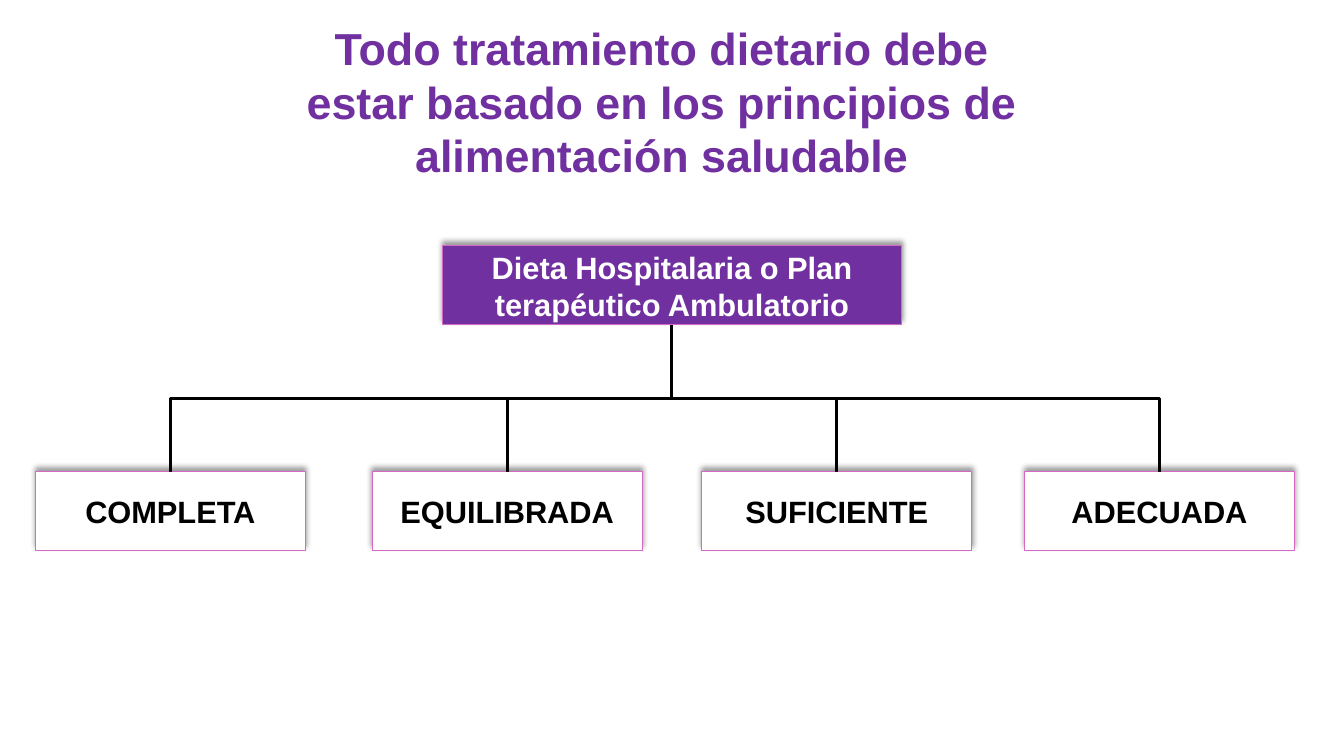
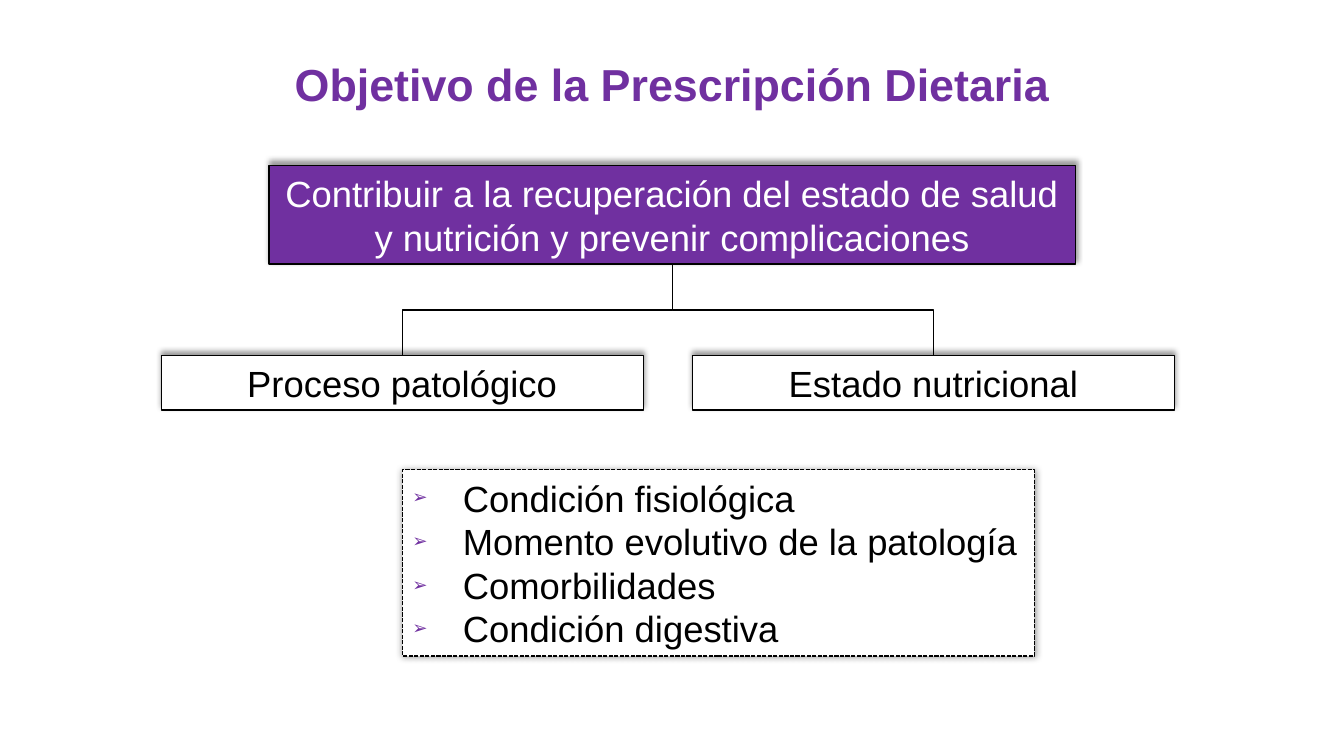
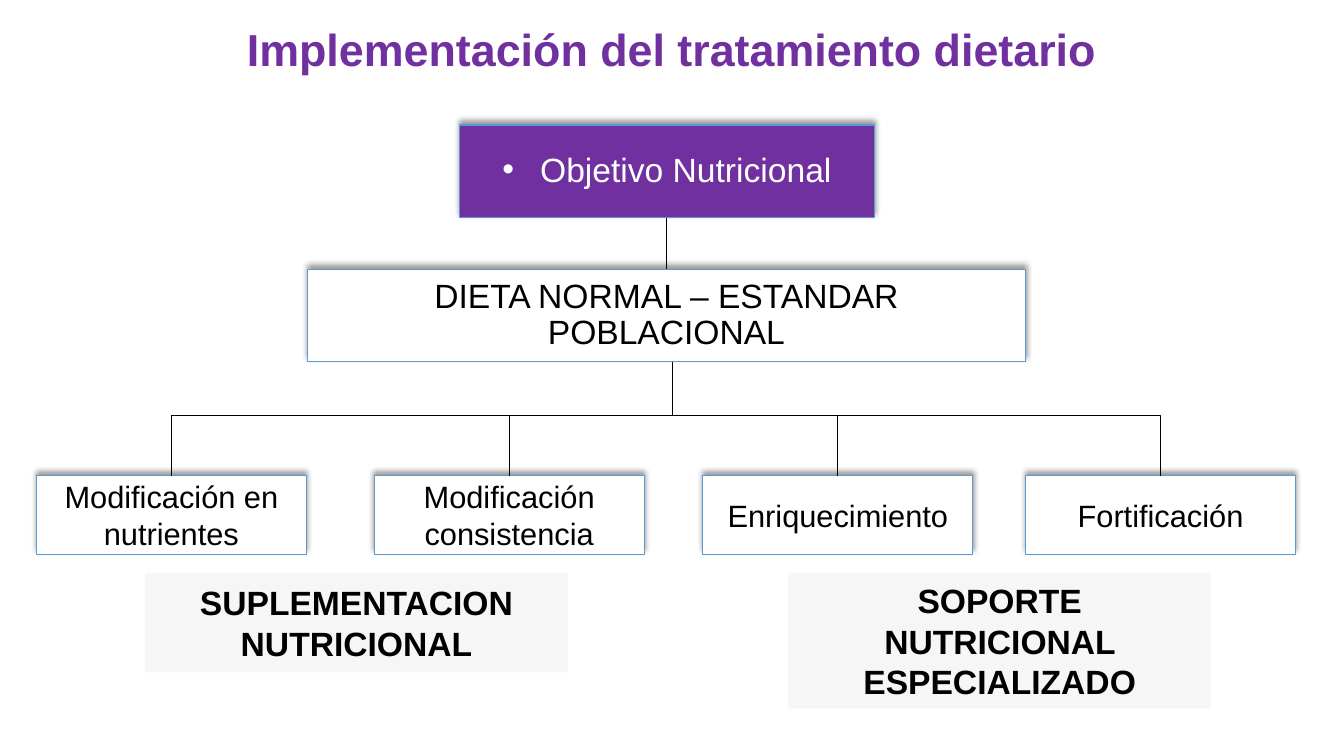
import pptx
import pptx.dml.color
import pptx.enum.dml
import pptx.enum.shapes
import pptx.enum.text
import pptx.oxml
import pptx.oxml.ns
import pptx.util

PX = 9144
FONT = "Arial"
COLORS = {
    "purple": "7030A0",
    "white": "FFFFFF",
    "black": "000000",
    "pink": "D569C3",
    "blue": "5B9BD5",
    "gray": "D9D9D9",
}
RGB = {name: pptx.dml.color.RGBColor.from_string(value) for name, value in COLORS.items()}
DRAWING = pptx.oxml.ns.nsdecls("a")
ALIGN = pptx.enum.text.PP_ALIGN
CONNECTOR = pptx.enum.shapes.MSO_CONNECTOR
TITLE = {"size": 32, "bold": True, "color": "purple"}


def format_box(box, at, lines, size, color="black", bold=False, fill=None, line=None,
               width=0.75, spacing=1, align=ALIGN.CENTER, blur=4, distance=3):
    for name, length in zip(("left", "top", "width", "height"), at):
        setattr(box, name, length * PX)
    frame_format = {
        "word_wrap": True,
        "auto_size": pptx.enum.text.MSO_AUTO_SIZE.NONE,
        "vertical_anchor": pptx.enum.text.MSO_ANCHOR.MIDDLE,
    }
    for name, value in frame_format.items():
        setattr(box.text_frame, name, value)
    box.text_frame.text = "\n".join(lines)
    font_format = {"name": FONT, "size": pptx.util.Pt(size), "bold": bold}
    for para in box.text_frame.paragraphs:
        para_format = {"alignment": align, "line_spacing": spacing, "space_before": pptx.util.Pt(0)}
        for name, value in para_format.items():
            setattr(para, name, value)
        for span in para.runs:
            for name, value in font_format.items():
                setattr(span.font, name, value)
            span.font.color.rgb = RGB[color]
    if fill:
        box.fill.solid()
        box.fill.fore_color.rgb = RGB[fill]
    if line:
        box.line.color.rgb = RGB[line]
        box.line.width = pptx.util.Pt(width)
    else:
        box.line.fill.background()
    box.shadow.inherit = False
    if line:
        effects = box._element.spPr.find(pptx.oxml.ns.qn("a:effectLst"))
        effects.append(pptx.oxml.parse_xml(
            f'<a:outerShdw {DRAWING} blurRad="{blur * 12700}" dist="{distance * 12700}" '
            f'dir="16200000" algn="b" rotWithShape="0"><a:srgbClr val="{COLORS["black"]}">'
            '<a:alpha val="40000"/></a:srgbClr></a:outerShdw>'))


def connect(page, start, end, width):
    (x1, y1), (x2, y2) = start, end
    run, drop = abs(x2 - x1), y2 - y1
    if run == 0:
        connector = page.shapes.add_connector(CONNECTOR.STRAIGHT, x1 * PX, y1 * PX, x2 * PX, y2 * PX)
    else:
        left = (x1 + x2 - drop) * PX // 2
        top = (y1 + y2 - run) * PX // 2
        connector = page.shapes.add_connector(
            CONNECTOR.ELBOW, left, top, left + drop * PX, top + run * PX)
        frame = connector._element.spPr.find(pptx.oxml.ns.qn("a:xfrm"))
        frame.set("rot", "5400000" if x2 < x1 else "16200000")
        if x2 > x1:
            frame.set("flipH", "1")
    connector.line.color.rgb = RGB["black"]
    connector.line.width = pptx.util.Pt(width)
    connector._element.spPr.append(pptx.oxml.parse_xml(f"<a:effectLst {DRAWING}/>"))


deck = pptx.Presentation()
deck.slide_width = 1333 * PX
deck.slide_height = 750 * PX

charts = [
    {
        "title": "Todo tratamiento dietario debe estar basado en los principios de alimentación saludable",
        "title_at": (277, 0, 759, 201), "title_spacing": 1, "layout": 5,
        "root": "Dieta Hospitalaria o Plan terapéutico Ambulatorio", "root_at": (439, 244, 455, 78),
        "root_style": {"size": 22, "bold": True, "color": "white", "fill": "purple", "line": "pink"},
        "branches": {"COMPLETA": 35, "EQUILIBRADA": 369, "SUFICIENTE": 696, "ADECUADA": 1016},
        "branch_size": (468, 268, 78),
        "branch_style": {"size": 22, "bold": True, "fill": "white", "line": "pink"},
        "trunk": (666, 322), "trunk_width": 2.25,
    },
    {
        "title": "Objetivo de la Prescripción Dietaria",
        "title_at": (23, 37, 1288, 98), "title_spacing": 0.9, "layout": 1,
        "root": "Contribuir a la recuperación del estado de salud y nutrición y prevenir complicaciones",
        "root_at": (267, 164, 800, 98),
        "root_style": {"size": 26, "color": "white", "fill": "purple", "line": "black", "width": 1},
        "branches": {"Proceso patológico": 160, "Estado nutricional": 687},
        "branch_size": (353, 478, 54),
        "branch_style": {"size": 26, "fill": "white", "line": "black", "width": 1},
        "trunk": (667, 262), "trunk_width": 1,
    },
    {
        "title": "Implementación del tratamiento dietario",
        "title_at": (0, 2, 1333, 100), "title_spacing": 0.9, "layout": 1,
        "root": "DIETA NORMAL – ESTANDAR POBLACIONAL", "root_at": (305, 267, 712, 92),
        "root_style": {"size": 24, "fill": "white", "line": "blue", "spacing": 0.9},
        "branches": {"Modificación en nutrientes": 36, "Modificación consistencia": 371,
                     "Enriquecimiento": 697, "Fortificación": 1017},
        "branch_size": (472, 268, 78),
        "branch_style": {"size": 22, "fill": "white", "line": "blue"},
        "trunk": (667, 352), "trunk_width": 0.5,
    },
]

RECTANGLE = pptx.enum.shapes.MSO_SHAPE.RECTANGLE
pages = []
for chart in charts:
    page = deck.slides.add_slide(deck.slide_layouts[chart["layout"]])
    pages.append(page)
    format_box(page.shapes.title, chart["title_at"], [chart["title"]],
               spacing=chart["title_spacing"], **TITLE)
    top, width, height = chart["branch_size"]
    for text, left in chart["branches"].items():
        branch = page.shapes.add_shape(RECTANGLE, 0, 0, PX, PX)
        format_box(branch, (left, top, width, height), [text], **chart["branch_style"])
    for left in chart["branches"].values():
        connect(page, chart["trunk"], (left + width // 2, top), chart["trunk_width"])
    root = page.shapes.add_shape(RECTANGLE, 0, 0, PX, PX)
    format_box(root, chart["root_at"], [chart["root"]], **chart["root_style"])

conditions = pages[1].placeholders[1]
format_box(conditions, (399, 466, 627, 185),
           ["Condición fisiológica", "Momento evolutivo de la patología",
            "Comorbilidades", "Condición digestiva"],
           26, fill="white", line="black", width=1, align=ALIGN.LEFT, blur=5, distance=0)
conditions.line.dash_style = pptx.enum.dml.MSO_LINE.SQUARE_DOT
conditions.text_frame.margin_right = 0
for para in conditions.text_frame.paragraphs:
    properties = para._p.get_or_add_pPr()
    properties.set("marL", str(50 * PX))
    properties.set("indent", str(-50 * PX))
    for bullet in (f'<a:buClr {DRAWING}><a:srgbClr val="{COLORS["purple"]}"/></a:buClr>',
                   f'<a:buSzPct {DRAWING} val="50000"/>',
                   f'<a:buFont {DRAWING} typeface="{FONT}"/>',
                   f'<a:buChar {DRAWING} char="➢"/>'):
        properties.append(pptx.oxml.parse_xml(bullet))

format_box(pages[2].placeholders[1], (456, 124, 411, 92), ["Objetivo Nutricional"], 24,
           color="white", fill="purple", line="blue", spacing=0.9)
connect(pages[2], (661, 216), (661, 267), 0.5)
for text, left, height in (("SUPLEMENTACION NUTRICIONAL", 144, 99),
                           ("SOPORTE NUTRICIONAL ESPECIALIZADO", 782, 135)):
    support = pages[2].shapes.add_shape(RECTANGLE, 0, 0, PX, PX)
    format_box(support, (left, 568, 419, height), [text], 24, bold=True, fill="gray")
    shade = support._element.spPr.find(".//" + pptx.oxml.ns.qn("a:srgbClr"))
    shade.append(pptx.oxml.parse_xml(f'<a:alpha {DRAWING} val="21000"/>'))

deck.save("out.pptx")
